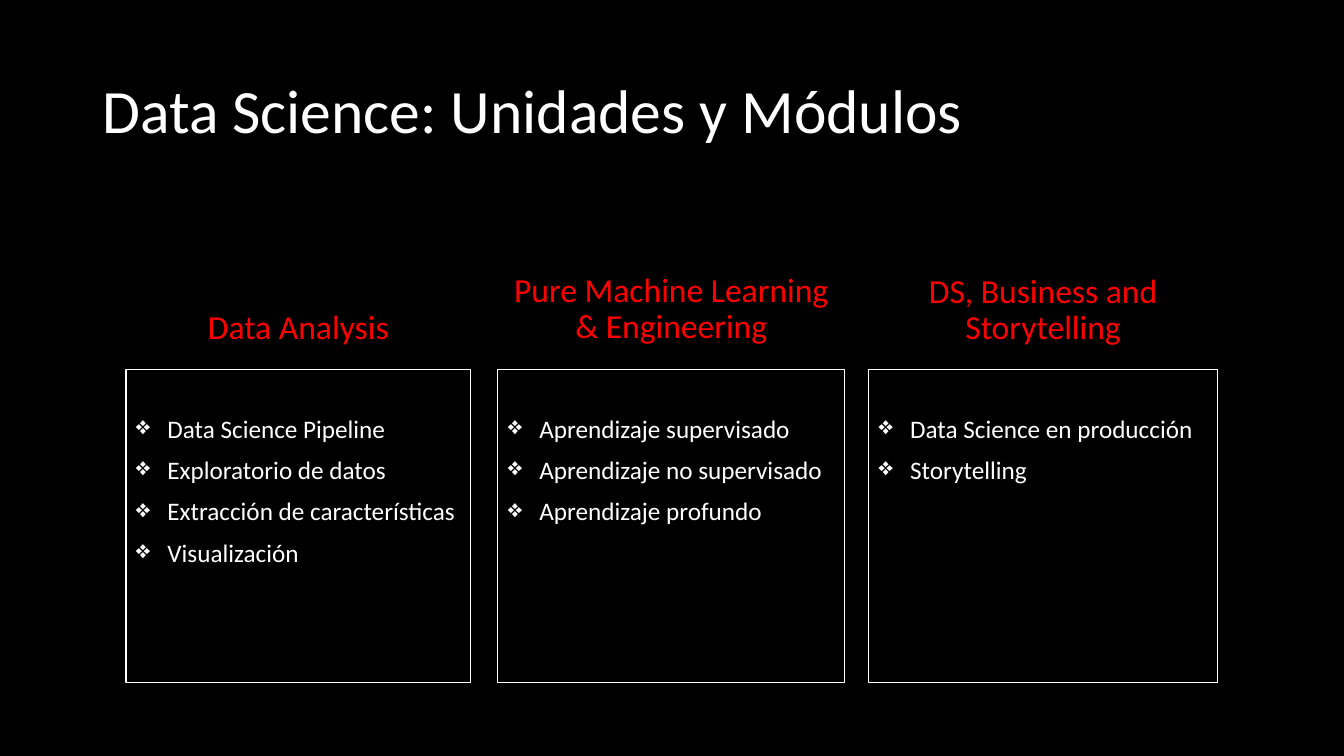
import pptx
import pptx.util
import pptx.dml.color
import pptx.enum.shapes
import pptx.enum.text
import pptx.oxml
import pptx.oxml.ns
from dataclasses import dataclass

Pt = pptx.util.Pt
ALIGN = pptx.enum.text.PP_ALIGN
ANCHOR = pptx.enum.text.MSO_ANCHOR

TITLE = "Data Science: Unidades y Módulos"
# heading, modules, left, width, heading top
UNITS = [
    ("Data Analysis",
     ["Data Science Pipeline", "Exploratorio de datos",
      "Extracción de características", "Visualización"], 90, 246.2, 206),
    ("Pure Machine Learning & Engineering",
     ["Aprendizaje supervisado", "Aprendizaje no supervisado",
      "Aprendizaje profundo"], 355.7, 247.7, 205.2),
    ("DS, Business and Storytelling",
     ["Data Science en producción", "Storytelling"], 620.6, 249.1, 206),
]
HEADING_H = 45.4
BOX_TOP, BOX_H, BOX_INSET = 264.2, 223.2, 33.4


@dataclass(frozen=True)
class Theme:
    font: str = "Calibri"
    background: str = "000000"
    text: str = "FFFFFF"
    accent: str = "FF0000"
    title_size: float = 44
    heading_size: float = 24
    body_size: float = 18
    indent: float = 22.5
    border: float = 0.75


THEME = Theme()


def rgb(value):
    return pptx.dml.color.RGBColor.from_string(value)


def add_bullet(p):
    pPr = p._p.get_or_add_pPr()
    pPr.set("marL", str(Pt(THEME.indent)))
    pPr.set("indent", str(-Pt(THEME.indent)))
    pPr.append(pptx.oxml.parse_xml(
        '<a:buChar %s char="❖"/>' % pptx.oxml.ns.nsdecls("a")))


def write(sp, lines, size, color=THEME.text, align=ALIGN.LEFT,
          anchor=ANCHOR.TOP, top=3.6, bullets=False):
    tf = sp.text_frame
    tf.word_wrap = True
    tf.auto_size = pptx.enum.text.MSO_AUTO_SIZE.NONE
    tf.vertical_anchor = anchor
    tf.margin_left = tf.margin_right = Pt(7.2)
    tf.margin_top, tf.margin_bottom = Pt(top), Pt(3.6)
    for i, line in enumerate(lines):
        p = tf.add_paragraph() if i else tf.paragraphs[0]
        p.alignment = align
        p.line_spacing = 0.9
        p.space_before = Pt(10 if i else 0)
        if bullets:
            add_bullet(p)
        r = p.add_run()
        r.text = line
        r.font.name = THEME.font
        r.font.size = Pt(size)
        r.font.color.rgb = rgb(color)


def add_unit(slide, heading, modules, left, width, heading_top):
    label = slide.shapes.add_textbox(
        Pt(left), Pt(heading_top), Pt(width), Pt(HEADING_H))
    write(label, [heading], THEME.heading_size, color=THEME.accent,
          align=ALIGN.CENTER, anchor=ANCHOR.BOTTOM)
    box = slide.shapes.add_shape(
        pptx.enum.shapes.MSO_SHAPE.RECTANGLE,
        Pt(left), Pt(BOX_TOP), Pt(width), Pt(BOX_H))
    box.shadow.inherit = False
    box.fill.background()
    box.line.color.rgb = rgb(THEME.text)
    box.line.width = Pt(THEME.border)
    write(box, modules, THEME.body_size, top=BOX_INSET, bullets=True)


def main():
    prs = pptx.Presentation()
    prs.slide_width, prs.slide_height = Pt(960), Pt(540)
    slide = prs.slides.add_slide(prs.slide_layouts[5])
    slide.background.fill.solid()
    slide.background.fill.fore_color.rgb = rgb(THEME.background)

    title = slide.shapes.title
    title.left, title.top = Pt(66), Pt(28.8)
    title.width, title.height = Pt(828), Pt(104.4)
    write(title, [TITLE], THEME.title_size, anchor=ANCHOR.MIDDLE)
    for unit in UNITS:
        add_unit(slide, *unit)
    prs.save("out.pptx")


if __name__ == "__main__":
    main()
